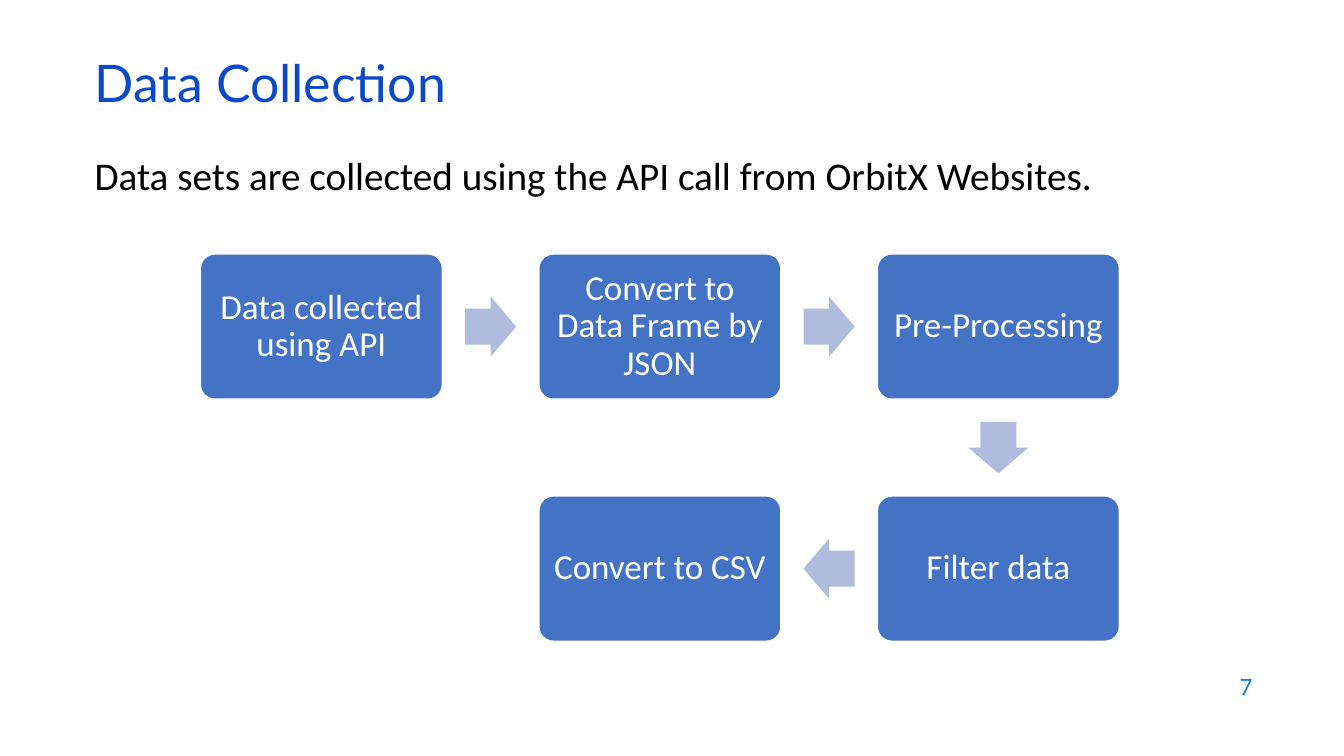
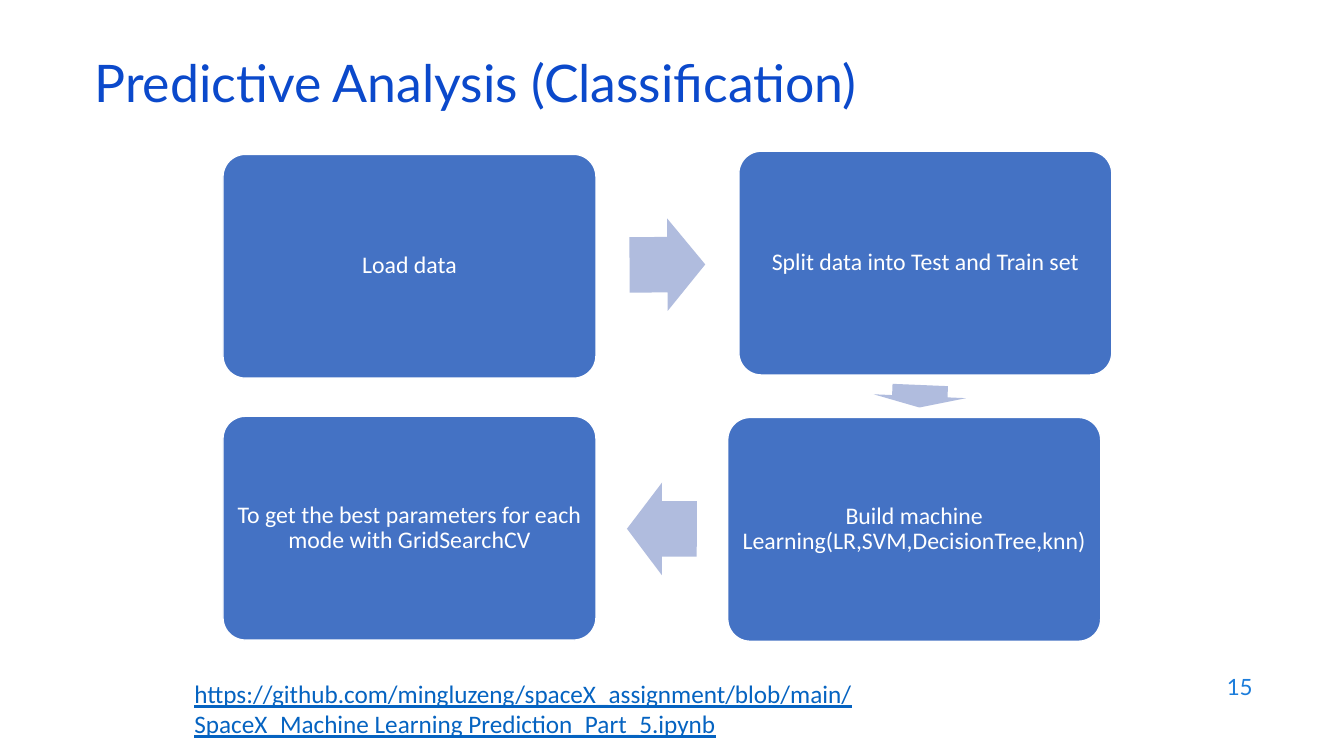
import math

from pptx import Presentation
from pptx import util as u
from pptx.dml.color import RGBColor
from pptx.enum import shapes, text
from pptx.oxml.ns import qn

COLORS = {
    "title": "0B49CB",
    "body": "000000",
    "page": "1C7DDB",
    "link": "0563C1",
    "step": "4472C4",
    "arrow": "B0BCDE",
    "white": "FFFFFF",
}
HEADING_FONT = "Lato"
TEXT_FONT = "Calibri"
ARROW_LENGTH = 0.53
ARROW_BREADTH = 0.248

SLIDES = [
    {
        "layout": 1,
        "title": "Data Collection",
        "page": "7",
        "body": "Data sets are collected using the API call from OrbitX Websites.",
        "box": (6.1, 3.66),
        "size": 25,
        "inset": 0.25,
        "steps": [
            ("Data collected using API", 5.05, 6.4),
            ("Convert to Data Frame by JSON", 13.58, 6.4),
            ("Pre-Processing", 22.11, 6.4),
            ("Filter data", 22.11, 12.5),
            ("Convert to CSV", 13.58, 12.5),
        ],
    },
    {
        "layout": 5,
        "title": "Predictive Analysis (Classification)",
        "page": "15",
        "link": "https://github.com/mingluzeng/spaceX_assignment/blob/main/"
                "SpaceX_Machine Learning Prediction_Part_5.ipynb",
        "box": (9.4, 5.64),
        "size": 17,
        "inset": 0.17,
        "steps": [
            ("Load data", 5.62, 3.89),
            ("Split data into Test and Train set", 18.62, 3.81),
            ("Build machine Learning(LR,SVM,DecisionTree,knn)", 18.34, 10.52),
            ("To get the best parameters for each mode with GridSearchCV", 5.62, 10.49),
        ],
    },
]


def place(shape, left, top, width, height):
    shape.left, shape.top = u.Cm(left), u.Cm(top)
    shape.width, shape.height = u.Cm(width), u.Cm(height)


def write(shape, words, size, color, font=TEXT_FONT, align="LEFT", anchor="TOP",
          spacing=1.0, inset=None, underline=False):
    frame = shape.text_frame
    frame.word_wrap = True
    frame.auto_size = text.MSO_AUTO_SIZE.NONE
    frame.vertical_anchor = text.MSO_ANCHOR[anchor]
    if inset is not None:
        frame.margin_left = frame.margin_right = u.Cm(inset)
        frame.margin_top = frame.margin_bottom = u.Cm(inset)
    paragraph = frame.paragraphs[0]
    paragraph.text = words
    paragraph.alignment = text.PP_ALIGN[align]
    paragraph.line_spacing = spacing
    paragraph.space_before = u.Pt(0)
    style = paragraph.runs[0].font
    style.name = font
    style.size = u.Pt(size)
    style.underline = underline
    style.color.rgb = RGBColor.from_string(COLORS[color])


def add_text(slide, area, words, **style):
    box = slide.shapes.add_textbox(*(u.Cm(length) for length in area))
    write(box, words, **style)


def add_body(slide, words):
    body = slide.placeholders[1]
    place(body, 2.13, 3.81, 29.21, 13.36)
    properties = body.text_frame.paragraphs[0]._p.get_or_add_pPr()
    properties.set("marL", "0")
    properties.set("indent", "0")
    properties.append(properties.makeelement(qn("a:buNone"), {}))
    write(body, words, size=28, color="body", spacing=0.9)


def add_preset(slide, preset, area, color, adjustments):
    shape = slide.shapes.add_shape(preset, *(u.Cm(length) for length in area))
    shape.shadow.inherit = False
    shape.fill.solid()
    shape.fill.fore_color.rgb = RGBColor.from_string(COLORS[color])
    for index, value in enumerate(adjustments):
        shape.adjustments[index] = value
    return shape


def add_step(slide, words, left, top, content):
    step = add_preset(slide, shapes.MSO_SHAPE.ROUNDED_RECTANGLE,
                      (left, top, *content["box"]), "step", [0.1])
    step.line.color.rgb = RGBColor.from_string(COLORS["white"])
    step.line.width = u.Pt(1)
    write(step, words, size=content["size"], color="white", align="CENTER",
          anchor="MIDDLE", spacing=0.9, inset=content["inset"])


def add_arrow(slide, start, end, box):
    width, height = box
    across, down = end[0] - start[0], end[1] - start[1]
    length = ARROW_LENGTH * max(abs(across) - width, abs(down) - height)
    breadth = ARROW_BREADTH * width
    center_x = (start[0] + end[0] + width) / 2
    center_y = (start[1] + end[1] + height) / 2
    area = (center_x - length / 2, center_y - breadth / 2, length, breadth)
    arrow = add_preset(slide, shapes.MSO_SHAPE.RIGHT_ARROW, area, "arrow", [0.6, 0.5])
    arrow.line.fill.background()
    arrow.rotation = math.degrees(math.atan2(down, across)) % 360


def add_flow(slide, content):
    steps = content["steps"]
    for words, left, top in steps:
        add_step(slide, words, left, top, content)
    for start, end in zip(steps, steps[1:]):
        add_arrow(slide, start[1:], end[1:], content["box"])


def add_slide(presentation, content):
    slide = presentation.slides.add_slide(presentation.slide_layouts[content["layout"]])
    place(slide.shapes.title, 2.13, 1.5, 29.21, 1.52)
    write(slide.shapes.title, content["title"], size=37, color="title",
          font=HEADING_FONT, anchor="MIDDLE", spacing=0.7)
    add_text(slide, (24.2, 16.74, 7.62, 1.12), content["page"], size=16, color="page",
             font=HEADING_FONT, align="RIGHT", anchor="MIDDLE")
    if "body" in content:
        add_body(slide, content["body"])
    if "link" in content:
        add_text(slide, (4.65, 16.97, 20.7, 1.8), content["link"], size=18,
                 color="link", underline=True)
    add_flow(slide, content)


def main():
    presentation = Presentation()
    presentation.slide_width = u.Cm(33.87)
    presentation.slide_height = u.Cm(19.05)
    for content in SLIDES:
        add_slide(presentation, content)
    presentation.save("out.pptx")


if __name__ == "__main__":
    main()
